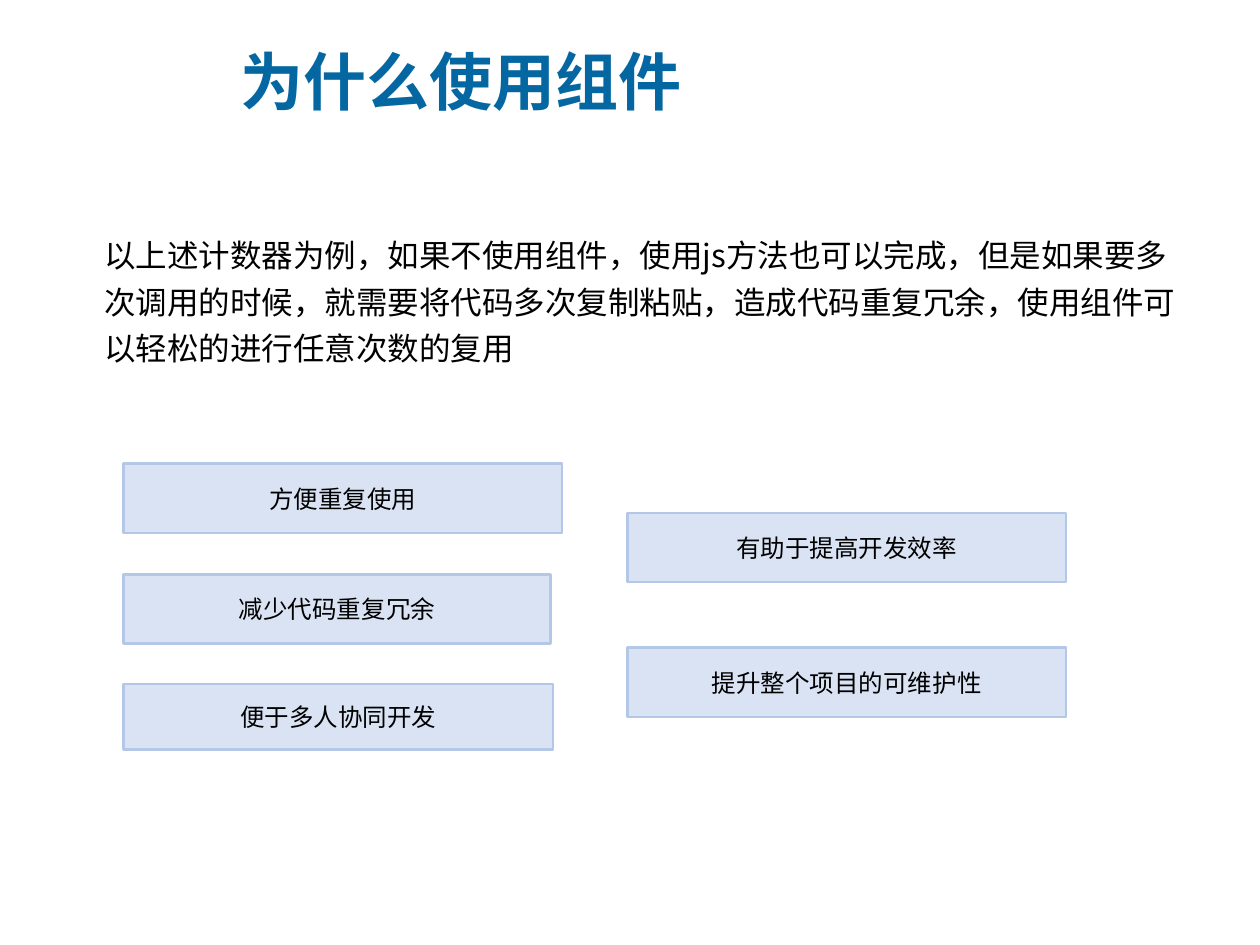
import pptx
import pptx.dml.color
import pptx.enum.shapes
import pptx.enum.text
import pptx.oxml
import pptx.oxml.ns
import pptx.util
from pptx.util import Inches

RGBColor = pptx.dml.color.RGBColor
Align = pptx.enum.text.PP_ALIGN
Anchor = pptx.enum.text.MSO_ANCHOR

TITLE_BLUE = RGBColor(0x05, 0x67, 0xA2)
BLACK = RGBColor(0x00, 0x00, 0x00)
BOX_FILL = RGBColor(0xDA, 0xE3, 0xF3)
BOX_LINE = RGBColor(0xB4, 0xC7, 0xE7)
FONT_NAME = "Noto Sans CJK SC"

LEFT_COLUMN = 0.98
RIGHT_COLUMN = 4.98

# Text, left, top, width, height
BENEFITS = [
    ("方便重复使用", LEFT_COLUMN, 3.68, 3.48, 0.55),
    ("减少代码重复冗余", LEFT_COLUMN, 4.56, 3.39, 0.55),
    ("便于多人协同开发", LEFT_COLUMN, 5.43, 3.41, 0.52),
    ("有助于提高开发效率", RIGHT_COLUMN, 4.07, 3.48, 0.55),
    ("提升整个项目的可维护性", RIGHT_COLUMN, 5.14, 3.48, 0.55),
]


def set_attributes(target, values):
    for name, value in values.items():
        setattr(target, name, value)


def write_text(shape, text, size, color, bold=False, anchor=Anchor.MIDDLE, **paragraph_format):
    frame = shape.text_frame
    set_attributes(frame, {"word_wrap": True, "vertical_anchor": anchor})
    paragraph = frame.paragraphs[0]
    set_attributes(paragraph, paragraph_format)
    run = paragraph.add_run()
    run.text = text
    set_attributes(run.font, {"name": FONT_NAME, "size": pptx.util.Pt(size), "bold": bold})
    run.font.color.rgb = color
    # Chinese characters take the East Asian typeface
    east_asian = pptx.oxml.parse_xml(
        f'<a:ea {pptx.oxml.ns.nsdecls("a")} typeface="{FONT_NAME}"/>')
    run.font._element.find(pptx.oxml.ns.qn("a:latin")).addnext(east_asian)


def add_text(slide, text, left, top, width, height, **text_format):
    shape = slide.shapes.add_textbox(*map(Inches, (left, top, width, height)))
    write_text(shape, text, **text_format)


def add_benefit(slide, text, left, top, width, height):
    shape = slide.shapes.add_shape(
        pptx.enum.shapes.MSO_SHAPE.RECTANGLE, *map(Inches, (left, top, width, height)))
    shape.shadow.inherit = False
    shape.fill.solid()
    shape.fill.fore_color.rgb = BOX_FILL
    shape.line.color.rgb = BOX_LINE
    shape.line.width = pptx.util.Pt(1.5)
    write_text(shape, text, size=14, color=BLACK, alignment=Align.CENTER)


def main():
    presentation = pptx.Presentation()
    set_attributes(presentation, {"slide_width": Inches(10), "slide_height": Inches(7.5)})
    slide = presentation.slides.add_slide(presentation.slide_layouts[6])

    # Title
    add_text(slide, "为什么使用组件", 1.81, 0.22, 8.18, 0.84,
             size=36, color=TITLE_BLUE, bold=True)

    # Explanation
    add_text(slide,
             "以上述计数器为例，如果不使用组件，使用js方法也可以完成，但是如果要"
             "多次调用的时候，就需要将代码多次复制粘贴，造成代码重复冗余，使用组件"
             "可以轻松的进行任意次数的复用",
             0.73, 1.75, 8.72, 0.72,
             size=18, color=BLACK, anchor=Anchor.TOP, line_spacing=1.24)

    # Benefits
    for benefit in BENEFITS:
        add_benefit(slide, *benefit)

    presentation.save("out.pptx")


if __name__ == "__main__":
    main()
